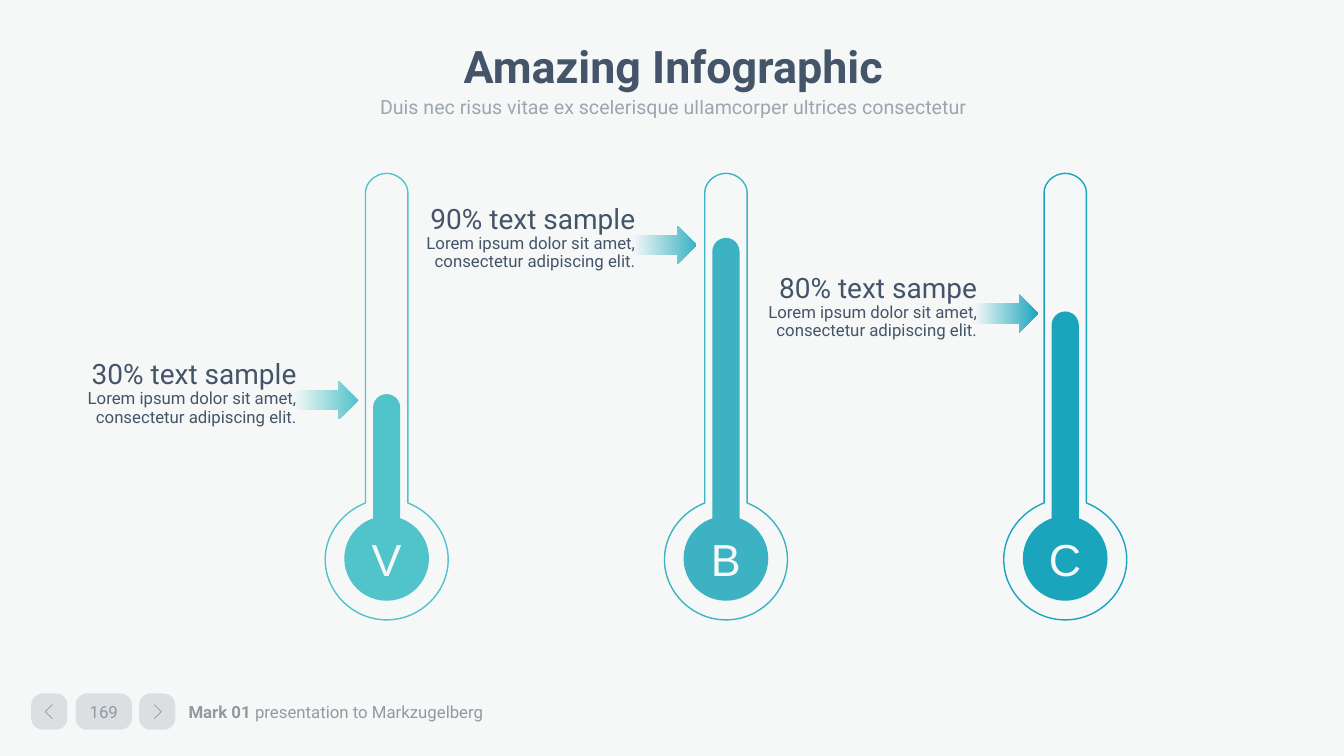
from lxml.etree import SubElement
from pptx import Presentation
from pptx.dml.color import RGBColor
from pptx.enum.shapes import MSO_SHAPE
from pptx.enum.text import MSO_ANCHOR, PP_ALIGN
from pptx.oxml.ns import qn
from pptx.util import Inches, Pt

PAPER = "F6F8F8"
INK = "445469"


def paint(fill, *colors):
    if len(colors) == 1:
        fill.solid()
        fill.fore_color.rgb = RGBColor.from_string(colors[0])
    else:
        fill.gradient()
        fill.gradient_angle = 0
        for stop, color in zip(fill.gradient_stops, colors):
            stop.color.rgb = RGBColor.from_string(color)


def fade(element, percent):
    for color in element.iter(qn("a:srgbClr")):
        SubElement(color, qn("a:alpha")).set("val", str(percent * 1000))


presentation = Presentation()
presentation.slide_width = Inches(13.33)
presentation.slide_height = Inches(7.5)
slide = presentation.slides.add_slide(presentation.slide_layouts[5])
paint(slide.background.fill, PAPER)

title = slide.shapes.title
title.left, title.top, title.width, title.height = map(Inches, (0.93, 0.4, 11.5, 0.56))
title.text_frame.text = "Amazing Infographic"
title.text_frame.vertical_anchor = MSO_ANCHOR.MIDDLE
subtitle = slide.shapes.add_textbox(*map(Inches, (1.96, 0.85, 9.44, 0.42)))
subtitle.text_frame.text = "Duis nec risus vitae ex scelerisque ullamcorper ultrices consectetur"
subtitle.text_frame.word_wrap = True
for heading, size, bold, spacing in ((title, 32, True, 0.9), (subtitle, 14, False, 1.2)):
    paragraph = heading.text_frame.paragraphs[0]
    paragraph.alignment = PP_ALIGN.CENTER
    paragraph.line_spacing = spacing
    font = paragraph.runs[0].font
    font.name, font.size, font.bold = "Roboto", Pt(size), bold
    paint(font.fill, INK)
fade(subtitle.text_frame._txBody, 50)

bulb_y = 5.55
left_half = [
    (0, 1.72),
    (-0.11, 1.72), (-0.21, 1.81), (-0.21, 1.91),
    (-0.21, 1.91), (-0.21, 4.99), (-0.21, 4.99),
    (-0.44, 5.08), (-0.61, 5.3), (-0.61, bulb_y),
    (-0.61, 5.88), (-0.33, 6.15), (0, 6.15),
]
right_half = [(-x, y) for x, y in reversed(left_half)]
outline = left_half + right_half[1:]

thermometers = [
    ("V", "30% text sample", "51C3CA", 3.91, 2.91, 3.78),
    ("B", "90% text sample", "3CB2C3", 2.36, 6.27, 2.24),
    ("C", "80% text sampe", "1AA5BD", 3.09, 9.66, 2.92),
]
for index, (letter, label, color, level, arrow_left, arrow_top) in enumerate(thermometers):
    center = (7.67 + 6.73 * index) / 2
    group = slide.shapes.add_group_shape()
    points = [(Inches(center + x), Inches(y)) for x, y in outline]
    builder = group.shapes.build_freeform(*points[0])
    builder.add_line_segments(points[1:], close=False)
    glass = builder.convert_to_shape()
    outline_element = next(glass._element.iter(qn("a:pathLst")))[0]
    segments = outline_element.findall(qn("a:lnTo"))
    for first in range(0, len(segments), 3):
        curve = SubElement(outline_element, qn("a:cubicBezTo"))
        for segment in segments[first:first + 3]:
            curve.append(segment[0])
            outline_element.remove(segment)
    SubElement(outline_element, qn("a:close"))
    glass.shadow.inherit = False
    glass.fill.background()
    paint(glass.line.fill, color)
    glass.line.width = Pt(1)

    column = group.shapes.add_shape(
        MSO_SHAPE.ROUNDED_RECTANGLE,
        *map(Inches, (center - 0.135, level, 0.27, bulb_y - level)))
    column.adjustments[0] = 0.5
    disc = group.shapes.add_shape(
        MSO_SHAPE.OVAL, *map(Inches, (center - 0.42, bulb_y - 0.43, 0.84, 0.84)))
    arrow = slide.shapes.add_shape(
        MSO_SHAPE.RIGHT_ARROW, *map(Inches, (arrow_left, arrow_top, 0.64, 0.38)))
    for shape, colors in ((column, [color]), (disc, [color]), (arrow, [PAPER, color])):
        shape.shadow.inherit = False
        paint(shape.fill, *colors)
        shape.line.fill.background()

    disc.text_frame.text = letter
    disc.text_frame.vertical_anchor = MSO_ANCHOR.MIDDLE
    paragraph = disc.text_frame.paragraphs[0]
    paragraph.alignment = PP_ALIGN.CENTER
    font = paragraph.runs[0].font
    font.name, font.size = "Arial", Pt(32)
    paint(font.fill, PAPER)

    caption = slide.shapes.add_textbox(
        *map(Inches, (arrow_left - 2.19, arrow_top - 0.29, 2.32, 0.8)))
    frame = caption.text_frame
    frame.word_wrap = True
    frame.text = label
    frame.add_paragraph().text = "Lorem ipsum dolor sit amet, consectetur adipiscing elit."
    frame.paragraphs[1].line_spacing = 0.9
    for paragraph, size in zip(frame.paragraphs, (20, 12)):
        paragraph.alignment = PP_ALIGN.RIGHT
        font = paragraph.runs[0].font
        font.name, font.size = "Roboto", Pt(size)
        paint(font.fill, INK)

button_top, button_height = 6.88, 0.36
for left, width, text in ((0.31, 0.36, ""), (0.75, 0.56, "169"), (1.38, 0.36, "")):
    button = slide.shapes.add_shape(
        MSO_SHAPE.ROUNDED_RECTANGLE, *map(Inches, (left, button_top, width, button_height)))
    button.adjustments[0] = 0.32
    button.shadow.inherit = False
    paint(button.fill, INK)
    fade(button.fill._xPr, 15)
    button.line.fill.background()
    if text:
        frame = button.text_frame
        frame.margin_left = frame.margin_right = 0
        frame.vertical_anchor = MSO_ANCHOR.MIDDLE
        frame.text = text
        paragraph = frame.paragraphs[0]
        paragraph.alignment = PP_ALIGN.CENTER
        font = paragraph.runs[0].font
        font.name, font.size = "Roboto", Pt(12)
        paint(font.fill, INK)
        fade(frame._txBody, 50)

for tip, back in ((0.45, 0.52), (1.6, 1.53)):
    builder = slide.shapes.build_freeform(Inches(back), Inches(6.99))
    builder.add_line_segments(
        [(Inches(tip), Inches(7.06)), (Inches(back), Inches(7.13))], close=False)
    chevron = builder.convert_to_shape()
    chevron.shadow.inherit = False
    chevron.fill.background()
    paint(chevron.line.fill, INK)
    chevron.line.width = Pt(0.5)
    fade(chevron.line._ln, 50)

footer = slide.shapes.add_textbox(*map(Inches, (1.74, 6.89, 3.67, 0.34)))
frame = footer.text_frame
frame.word_wrap = True
frame.margin_left = frame.margin_right = Inches(0.13)
frame.vertical_anchor = MSO_ANCHOR.MIDDLE
for text, bold in (("Mark 01 ", True), ("presentation to Markzugelberg", False)):
    run = frame.paragraphs[0].add_run()
    run.text = text
    run.font.name, run.font.size, run.font.bold = "Roboto", Pt(12), bold
    paint(run.font.fill, "9499A1")

presentation.save("out.pptx")
